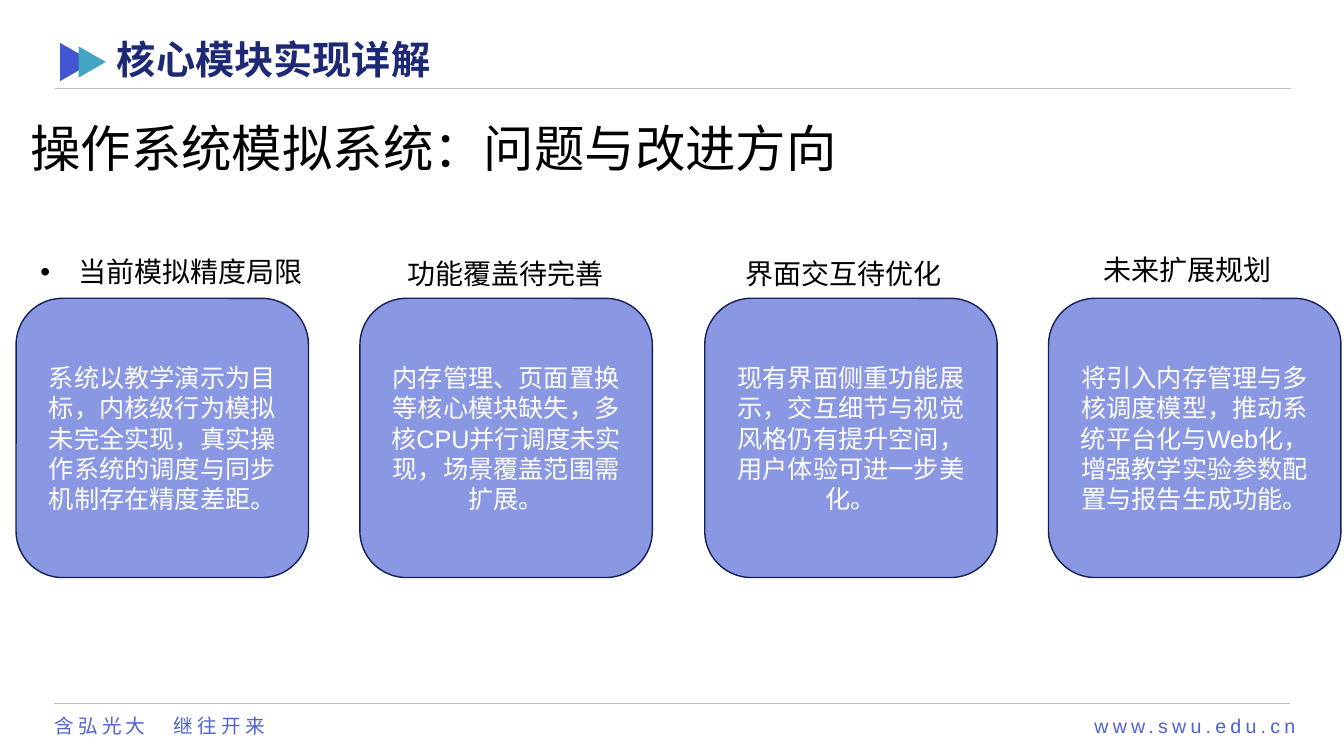
"""Builds the slide on problems and improvements of the simulated operating system."""
import pptx
import pptx.util
import pptx.dml.color
import pptx.enum.dml
import pptx.enum.lang
import pptx.enum.shapes
import pptx.enum.text
import pptx.oxml
import pptx.oxml.ns

RGBColor = pptx.dml.color.RGBColor
SHAPE = pptx.enum.shapes.MSO_SHAPE
ALIGN = pptx.enum.text.PP_ALIGN
ANCHOR = pptx.enum.text.MSO_ANCHOR

TITLE = "核心模块实现详解"
SUBTITLE = "操作系统模拟系统：问题与改进方向"
MOTTO = "含弘光大　继往开来"
SITE = "www.swu.edu.cn"
CARDS = [
    ("当前模拟精度局限", (30, 251, 336, 53),
     "系统以教学演示为目标，内核级行为模拟未完全实现，真实操作系统的调度与同步机制存在精度差距。"),
    ("功能覆盖待完善", (404, 251, 250, 44),
     "内存管理、页面置换等核心模块缺失，多核CPU并行调度未实现，场景覆盖范围需扩展。"),
    ("界面交互待优化", (739, 251, 250, 44),
     "现有界面侧重功能展示，交互细节与视觉风格仍有提升空间，用户体验可进一步美化。"),
    ("未来扩展规划", (1094, 247, 250, 44),
     "将引入内存管理与多核调度模型，推动系统平台化与Web化，增强教学实验参数配置与报告生成功能。"),
]

BLACK = RGBColor(0x00, 0x00, 0x00)
WHITE = RGBColor(0xFF, 0xFF, 0xFF)
NAVY = RGBColor(0x1D, 0x29, 0x74)
FOOTER_BLUE = RGBColor(0x50, 0x62, 0xD3)
MARK_BLUE = RGBColor(0x41, 0x56, 0xD0)
MARK_TEAL = RGBColor(0x43, 0xA5, 0xC2)
CARD_FILL = RGBColor(0x8A, 0x97, 0xE2)
CARD_EDGE = RGBColor(0x16, 0x1F, 0x57)
RULE_GRAY = RGBColor(0xBF, 0xBF, 0xBF)

RULES = [(55, 88, 1280), (54, 698, 1279)]
MARKS = [((57, 45, 38, 33), MARK_BLUE), ((76, 48, 31, 27), MARK_TEAL)]
CARD_LEFT, CARD_TOP, CARD_W, CARD_H = 16, 296, 290, 277
CARD_SPAN = 1024
CJK_FONT = "Noto Sans CJK SC"
PX = 9144


def emu(*lengths):
    return [n * PX for n in lengths]


def place(s, box):
    s.left, s.top, s.width, s.height = emu(*box)


def write(s, text, size, color, font="Arial", insets=(0, 0, 0, 0), align=ALIGN.LEFT,
          anchor=ANCHOR.TOP, spacing=1.0, bold=False, tracking=0):
    tf = s.text_frame
    tf.text = text
    tf.word_wrap = True
    tf.auto_size = pptx.enum.text.MSO_AUTO_SIZE.NONE
    tf.vertical_anchor = anchor
    tf.margin_left, tf.margin_top, tf.margin_right, tf.margin_bottom = emu(*insets)
    p = tf.paragraphs[0]
    p.alignment = align
    p.line_spacing = spacing
    p.space_before = pptx.util.Pt(0)
    r = p.runs[0]
    r.font.size = pptx.util.Pt(size)
    r.font.bold = bold
    r.font.color.rgb = color
    r.font.name = font
    r.font.language_id = pptx.enum.lang.MSO_LANGUAGE_ID.SIMPLIFIED_CHINESE
    rPr = r.font._element
    ea = pptx.oxml.parse_xml(f'<a:ea {pptx.oxml.ns.nsdecls("a")} typeface="{CJK_FONT}"/>')
    rPr.find(pptx.oxml.ns.qn("a:latin")).addnext(ea)
    if tracking:
        rPr.set("spc", str(tracking * 100))


def add_text(slide, box, text, size, color, **style):
    write(slide.shapes.add_textbox(*emu(*box)), text, size, color, **style)


def add_filled(slide, kind, box, fill, edge=None):
    s = slide.shapes.add_shape(kind, *emu(*box))
    s.shadow.inherit = False
    s.fill.solid()
    s.fill.fore_color.rgb = fill
    if edge is None:
        s.line.fill.background()
    else:
        s.line.color.rgb = edge
        s.line.width = pptx.util.Pt(1)
    return s


def add_rule(slide, left, y, right):
    s = slide.shapes.add_connector(pptx.enum.shapes.MSO_CONNECTOR.STRAIGHT,
                                   *emu(left, y, right, y))
    s.line.color.rgb = RULE_GRAY
    s.line.width = pptx.util.Pt(0.5)
    s._element.spPr.append(
        pptx.oxml.parse_xml(f'<a:effectLst {pptx.oxml.ns.nsdecls("a")}/>'))


def add_heading(slide, index, text, box):
    if index:
        add_text(slide, box, text, 20, BLACK, spacing=1.11)
        return
    s = slide.placeholders[1]
    place(s, box)
    s.text_frame.text = text
    pPr = s.text_frame.paragraphs[0]._p.get_or_add_pPr()
    pPr.set("marL", "0")
    pPr.set("indent", "0")
    pPr.append(pptx.oxml.parse_xml(f'<a:buNone {pptx.oxml.ns.nsdecls("a")}/>'))
    write(s, text, 20, BLACK, insets=(10, 5, 10, 5), spacing=0.9)


def main():
    prs = pptx.Presentation()
    prs.slide_width, prs.slide_height = emu(1333, 750)
    slide = prs.slides.add_slide(prs.slide_layouts[1])

    for rule in RULES:
        add_rule(slide, *rule)
    add_text(slide, (54, 703, 232, 40), MOTTO, 14, FOOTER_BLUE,
             insets=(0, 5, 10, 5), tracking=3)
    add_text(slide, (1028, 703, 257, 40), SITE, 14, FOOTER_BLUE,
             insets=(0, 5, 0, 5), align=ALIGN.RIGHT, tracking=3)
    for box, fill in MARKS:
        add_filled(slide, SHAPE.ISOSCELES_TRIANGLE, box, fill).rotation = 90

    title = slide.shapes.title
    place(title, (116, 35, 863, 52))
    write(title, TITLE, 28, NAVY, font=CJK_FONT, insets=(0, 5, 10, 5),
          anchor=ANCHOR.MIDDLE, spacing=0.9, bold=True)
    add_text(slide, (30, 110, 803, 67), SUBTITLE, 36, BLACK,
             font="Montserrat", spacing=1.11)

    for i, (heading, box, body) in enumerate(CARDS):
        add_heading(slide, i, heading, box)
        left = CARD_LEFT + round(CARD_SPAN * i / (len(CARDS) - 1))
        card = add_filled(slide, SHAPE.ROUNDED_RECTANGLE,
                          (left, CARD_TOP, CARD_W, CARD_H), CARD_FILL, CARD_EDGE)
        write(card, body, 18, WHITE, insets=(10, 5, 10, 5),
              align=ALIGN.CENTER, anchor=ANCHOR.MIDDLE)

    prs.save("out.pptx")


if __name__ == "__main__":
    main()
